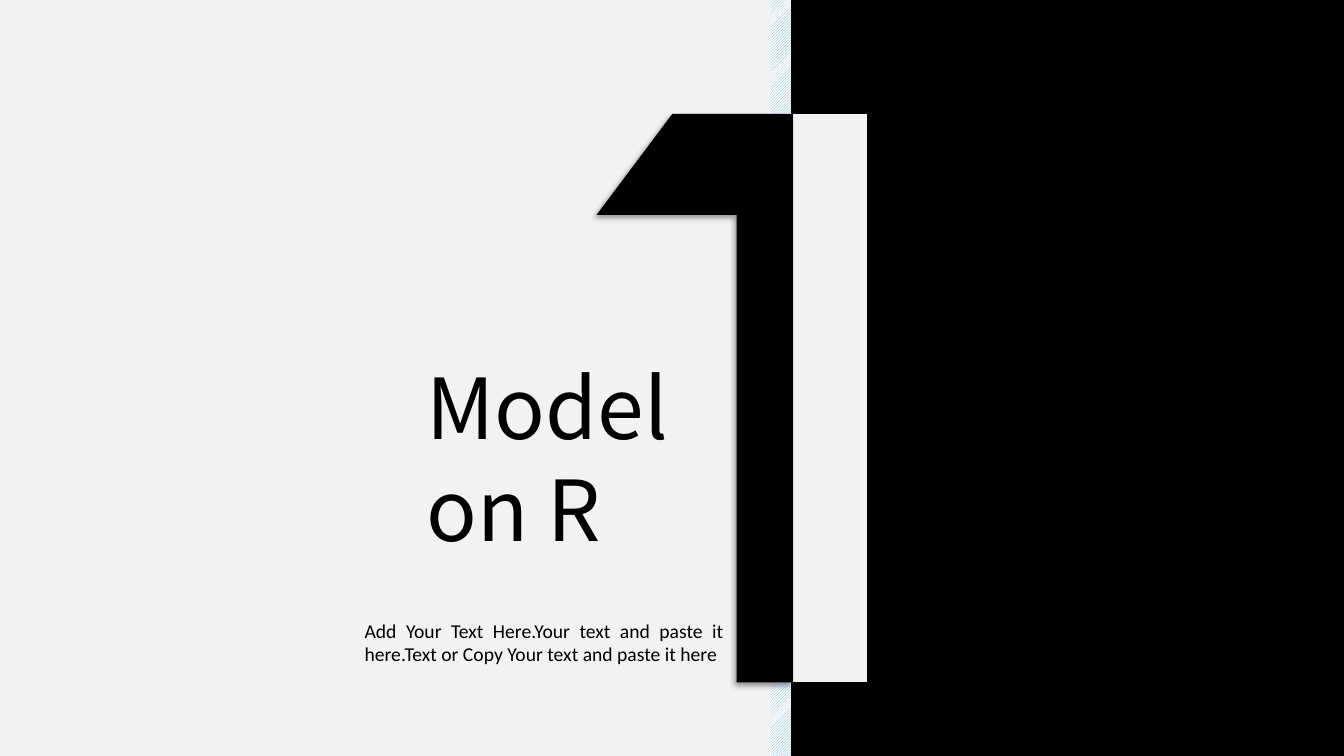
from lxml import etree
from pptx import Presentation
from pptx.dml.color import RGBColor
from pptx.enum.dml import MSO_PATTERN
from pptx.enum.shapes import MSO_SHAPE
from pptx.enum.text import PP_ALIGN
from pptx.oxml.ns import qn
from pptx.util import Pt

BLACK = RGBColor(0x00, 0x00, 0x00)
WHITE = RGBColor(0xFF, 0xFF, 0xFF)
PALE = RGBColor(0xF2, 0xF2, 0xF2)
BLUE = RGBColor(0x5B, 0x9B, 0xD5)


def add_panel(shapes, left, top, width, height):
    """Add a plain rectangle without line or shadow, ready to be filled."""
    panel = shapes.add_shape(MSO_SHAPE.RECTANGLE, Pt(left), Pt(top), Pt(width), Pt(height))
    panel.shadow.inherit = False
    panel.line.fill.background()
    return panel


def add_backdrop(shapes, left, top, width, height):
    """Place the black right panel, edged by a hatched strip on its left."""
    strip_width, strip_showing = 28, 14.4
    strip = add_panel(shapes, left, top, strip_width, height)
    strip.fill.patterned()
    strip.fill.pattern = MSO_PATTERN.LIGHT_UPWARD_DIAGONAL
    strip.fill.fore_color.rgb = BLUE
    strip.fill.back_color.rgb = WHITE
    panel = add_panel(shapes, left + strip_showing, top, width - strip_showing, height)
    panel.fill.solid()
    panel.fill.fore_color.rgb = BLACK


def add_shadow(shape, degrees):
    """Cast a soft black shadow in the given direction."""
    shape.shadow.inherit = False
    effects = shape._element.spPr.find(qn("a:effectLst"))
    shadow = etree.SubElement(effects, qn("a:outerShdw"), blurRad=str(Pt(4)), dist=str(Pt(3)),
                              dir=str(degrees * 60000), algn="ctr", rotWithShape="0")
    color = etree.SubElement(shadow, qn("a:srgbClr"), val=str(BLACK))
    etree.SubElement(color, qn("a:alpha"), val="40000")


def add_numeral_one(shapes, left, top, width, height):
    """Draw a large 1 as a pale right half and a black left half, grouped."""
    flag_x, flag_y, stem_x, split_x = 54, 72, 100, 140
    right_half = [(split_x, 0), (width, 0), (width, height), (split_x, height)]
    left_half = [(flag_x, 0), (split_x, 0), (split_x, height), (stem_x, height),
                 (stem_x, flag_y), (0, flag_y)]
    group = shapes.add_group_shape()
    for outline, color, shadow_angle in ((right_half, PALE, 45), (left_half, BLACK, 135)):
        points = [(Pt(left + x), Pt(top + y)) for x, y in outline]
        builder = group.shapes.build_freeform(*points[0])
        builder.add_line_segments(points[1:], close=True)
        half = builder.convert_to_shape()
        half.fill.solid()
        half.fill.fore_color.rgb = color
        half.line.fill.background()
        add_shadow(half, shadow_angle)


def add_text(shapes, left, top, width, height, text, font, size):
    """Add a wrapped black text box and return it."""
    box = shapes.add_textbox(Pt(left), Pt(top), Pt(width), Pt(height))
    box.text_frame.word_wrap = True
    paragraph = box.text_frame.paragraphs[0]
    run = paragraph.add_run()
    run.text = text
    run.font.name = font
    run.font.size = Pt(size)
    run.font.color.rgb = BLACK
    properties = run._r.get_or_add_rPr()
    etree.SubElement(properties, qn("a:ea"), typeface=font)
    return box


def add_caption(shapes, left, top, width, height):
    """Place the section title, with the justified description below it."""
    title = add_text(shapes, left + 44, top, 199, 153, "Model on R", "Noto Sans CJK JP", 60)
    title.text_frame.margin_top = Pt(7.4)
    title.text_frame.paragraphs[0].line_spacing = Pt(73)
    body_height = 41
    body = add_text(shapes, left, top + height - body_height, width, body_height,
                    "Add Your Text Here.Your text and paste it here."
                    "Text or Copy Your text and paste it here", "Calibri", 14)
    body.text_frame.paragraphs[0].alignment = PP_ALIGN.JUSTIFY


def build_section_slide(presentation, left, top, width, height):
    """Build the section opener: backdrop, numeral and caption."""
    slide = presentation.slides.add_slide(presentation.slide_layouts[6])
    slide.background.fill.solid()
    slide.background.fill.fore_color.rgb = PALE
    shapes = slide.shapes
    add_backdrop(shapes, left + 550.8, top, width - 550.8, height)
    add_numeral_one(shapes, left + 426.2, top + 81.4, 193, 406)
    add_caption(shapes, left + 253.4, top + 245.5, 270.7, 234)


presentation = Presentation()
presentation.slide_width, presentation.slide_height = Pt(960), Pt(540)
build_section_slide(presentation, 0, 0, 960, 540)
presentation.save("out.pptx")
